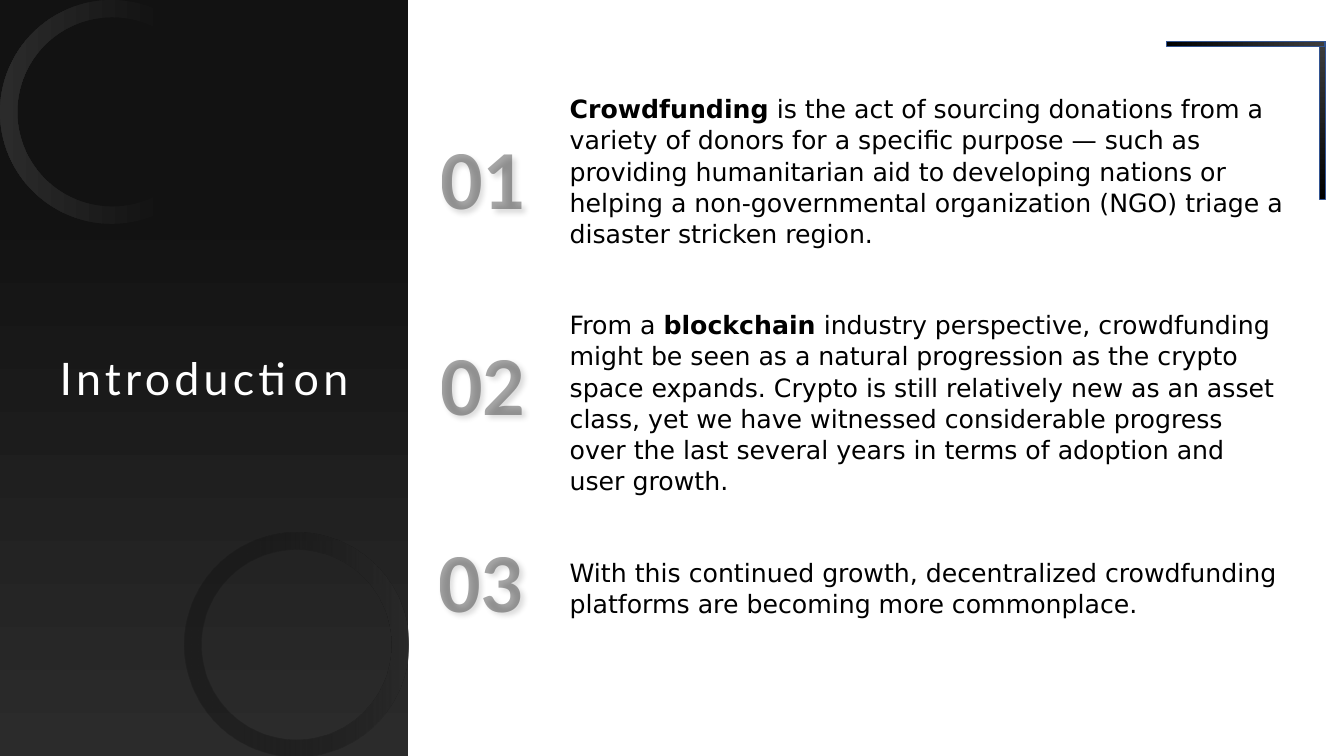
from dataclasses import dataclass

from lxml import etree
from pptx import Presentation
from pptx.dml.color import RGBColor
from pptx.enum.shapes import MSO_SHAPE
from pptx.enum.text import MSO_ANCHOR, MSO_AUTO_SIZE, PP_ALIGN
from pptx.oxml.ns import qn
from pptx.util import Inches, Pt

RECTANGLE, DONUT = MSO_SHAPE.RECTANGLE, MSO_SHAPE.DONUT
TOP, MIDDLE = MSO_ANCHOR.TOP, MSO_ANCHOR.MIDDLE
LEFT, CENTER = PP_ALIGN.LEFT, PP_ALIGN.CENTER
FIXED, FIT_SHAPE = MSO_AUTO_SIZE.NONE, MSO_AUTO_SIZE.SHAPE_TO_FIT_TEXT


@dataclass(frozen=True)
class Stop:
    position: float
    color: str
    opacity: int = 100


@dataclass(frozen=True)
class Decoration:
    kind: int
    left: float
    top: float
    width: float
    height: float
    rotation: int
    stops: tuple[Stop, Stop]
    line: str | None = None


@dataclass(frozen=True)
class Numeral:
    text: str
    left: float
    top: float


PANEL = (Stop(0.26, "121212"), Stop(1, "2B2B2B"))
FADED = (Stop(0.26, "121212", 40), Stop(1, "2B2B2B"))
BAR = (Stop(0, "3D3D3D"), Stop(1, "000000"))
INK = (Stop(0, "000000", 34), Stop(1, "000000"))

RINGS = [
    Decoration(DONUT, 0, 0, 2.22, 2.22, 90, PANEL),
    Decoration(DONUT, 1.83, 5.28, 2.22, 2.22, 270, FADED),
]
CORNER_BARS = [
    Decoration(RECTANGLE, 13.09, 0.41, 0.06, 1.57, 0, BAR, "325491"),
    Decoration(RECTANGLE, 12.33, -0.35, 0.05, 1.57, 90, BAR, "325491"),
]
NUMERALS = [
    Numeral("01", 4.27, 1.2),
    Numeral("02", 4.27, 3.24),
    Numeral("03", 4.25, 5.19),
]
STATEMENTS = [
    [("Crowdfunding", True),
     (" is the act of sourcing donations from a variety of donors for a specific "
      "purpose — such as providing humanitarian aid to developing nations or helping "
      "a non-governmental organization (NGO) triage a disaster stricken region.", False)],
    [("From a ", False), ("blockchain", True),
     (" industry perspective, crowdfunding might be seen as a natural progression as "
      "the crypto space expands. Crypto is still relatively new as an asset class, yet "
      "we have witnessed considerable progress over the last several years in terms of "
      "adoption and user growth.", False)],
    [("With this continued growth, decentralized crowdfunding platforms are becoming "
      "more commonplace.", False)],
]


def rgb(value: str) -> RGBColor:
    return RGBColor.from_string(value)


def paint_gradient(fill, owner, stops: tuple[Stop, Stop]) -> None:
    fill.gradient()
    fill.gradient_angle = 270
    for target, node, stop in zip(fill.gradient_stops, owner.iter(qn("a:gs")), stops):
        target.position = stop.position
        target.color.rgb = rgb(stop.color)
        if stop.opacity < 100:
            alpha = etree.SubElement(node[0], qn("a:alpha"))
            alpha.set("val", str(stop.opacity * 1000))


def place(shape, left: float, top: float, width: float, height: float) -> None:
    shape.left, shape.top = Inches(left), Inches(top)
    shape.width, shape.height = Inches(width), Inches(height)


def add_text(paragraph, text: str, *, font: str, size: float, color: str = "000000",
             bold: bool = False, spacing: float = 0, stops=None) -> None:
    run = paragraph.add_run()
    run.text = text
    run.font.name, run.font.size, run.font.bold = font, Pt(size), bold
    properties = run.font._element
    if stops:
        paint_gradient(run.font.fill, properties, stops)
    else:
        run.font.color.rgb = rgb(color)
    if spacing:
        properties.set("spc", str(round(spacing * 100)))


def add_decoration(shapes, item: Decoration) -> None:
    shape = shapes.add_shape(item.kind, Inches(item.left), Inches(item.top),
                             Inches(item.width), Inches(item.height))
    shape.rotation = item.rotation
    shape.shadow.inherit = False
    if item.kind == DONUT:
        shape.adjustments[0] = 0.077
    paint_gradient(shape.fill, shape._element.spPr, item.stops)
    if item.line:
        shape.line.color.rgb = rgb(item.line)
        shape.line.width = Pt(1)
    else:
        shape.line.fill.background()


def add_soft_shadow(shape) -> None:
    effects = etree.SubElement(shape._element.spPr, qn("a:effectLst"))
    shadow = etree.SubElement(effects, qn("a:outerShdw"), blurRad="50800",
                              dist="38100", dir="2700000", algn="tl")
    color = etree.SubElement(shadow, qn("a:srgbClr"), val="000000")
    etree.SubElement(color, qn("a:alpha"), val="40000")


def add_numeral(shapes, numeral: Numeral) -> None:
    box = shapes.add_textbox(Inches(numeral.left), Inches(numeral.top),
                             Inches(1.05), Inches(1.11))
    box.text_frame.word_wrap = False
    box.text_frame.auto_size = FIT_SHAPE
    add_text(box.text_frame.paragraphs[0], numeral.text,
             font="Calibri", size=60, bold=True, stops=INK)
    add_soft_shadow(box)


def fill_title(title) -> None:
    place(title, 0, 0, 4.05, 7.5)
    paint_gradient(title.fill, title._element.spPr, PANEL)
    frame = title.text_frame
    frame.word_wrap, frame.auto_size, frame.vertical_anchor = True, FIXED, MIDDLE
    heading = frame.paragraphs[0]
    heading.alignment = CENTER
    add_text(heading, "Introduction", font="Lato", size=32, color="FFFFFF", spacing=3)


def fill_body(body) -> None:
    place(body, 5.55, 0.87, 7.29, 5.86)
    frame = body.text_frame
    frame.word_wrap, frame.auto_size, frame.vertical_anchor = True, FIXED, TOP
    for index, statement in enumerate(STATEMENTS):
        paragraph = frame.add_paragraph() if index else frame.paragraphs[0]
        properties = paragraph._p.get_or_add_pPr()
        properties.set("marL", "0")
        properties.set("indent", "0")
        etree.SubElement(properties, qn("a:buNone"))
        paragraph.alignment = LEFT
        paragraph.line_spacing = 1.03
        paragraph.space_before = Pt(43.2 if index else 0)
        paragraph.space_after = Pt(0)
        for text, bold in statement:
            add_text(paragraph, text, font="DejaVu Sans", size=18, bold=bold)


def main() -> None:
    deck = Presentation()
    deck.slide_width, deck.slide_height = Inches(13.33), Inches(7.5)
    slide = deck.slides.add_slide(deck.slide_layouts[1])
    fill_title(slide.shapes.title)
    fill_body(slide.placeholders[1])
    for ring in RINGS:
        add_decoration(slide.shapes, ring)
    for numeral in NUMERALS:
        add_numeral(slide.shapes, numeral)
    corner = slide.shapes.add_group_shape()
    for bar in CORNER_BARS:
        add_decoration(corner.shapes, bar)
    deck.save("out.pptx")


if __name__ == "__main__":
    main()
